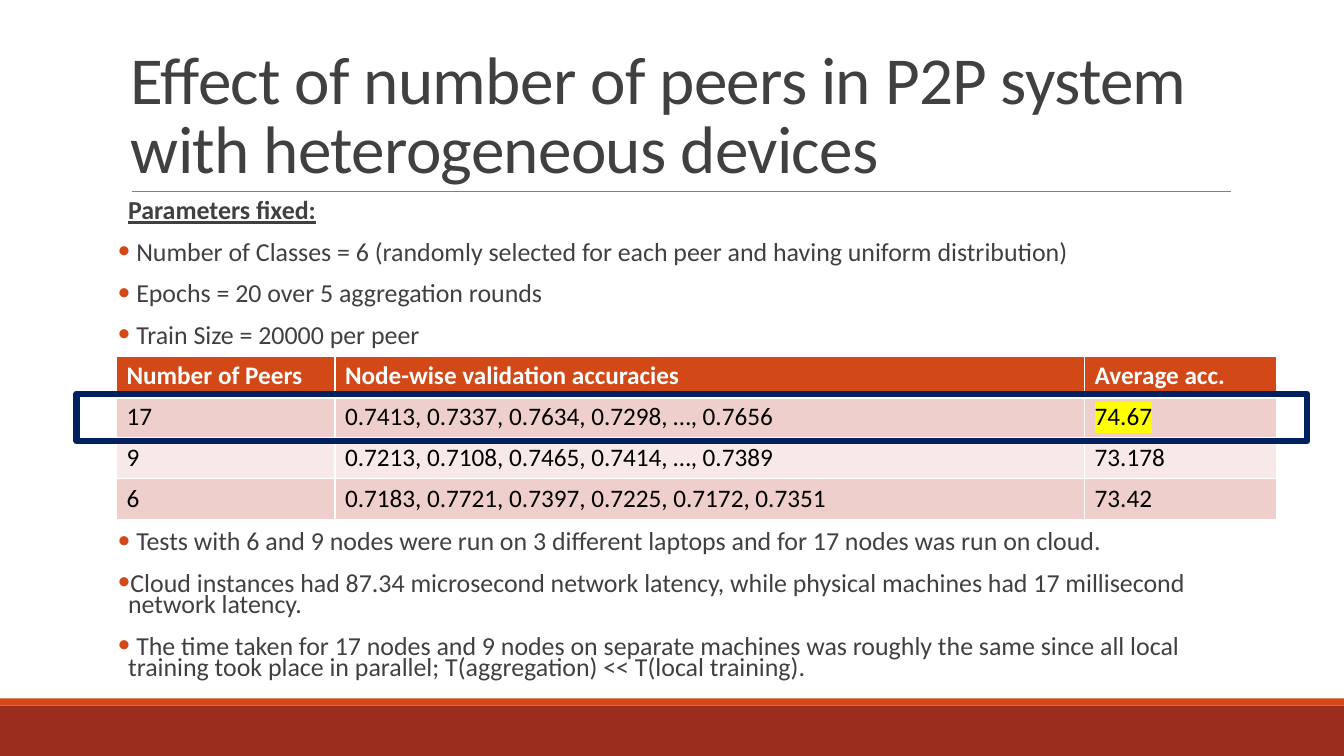
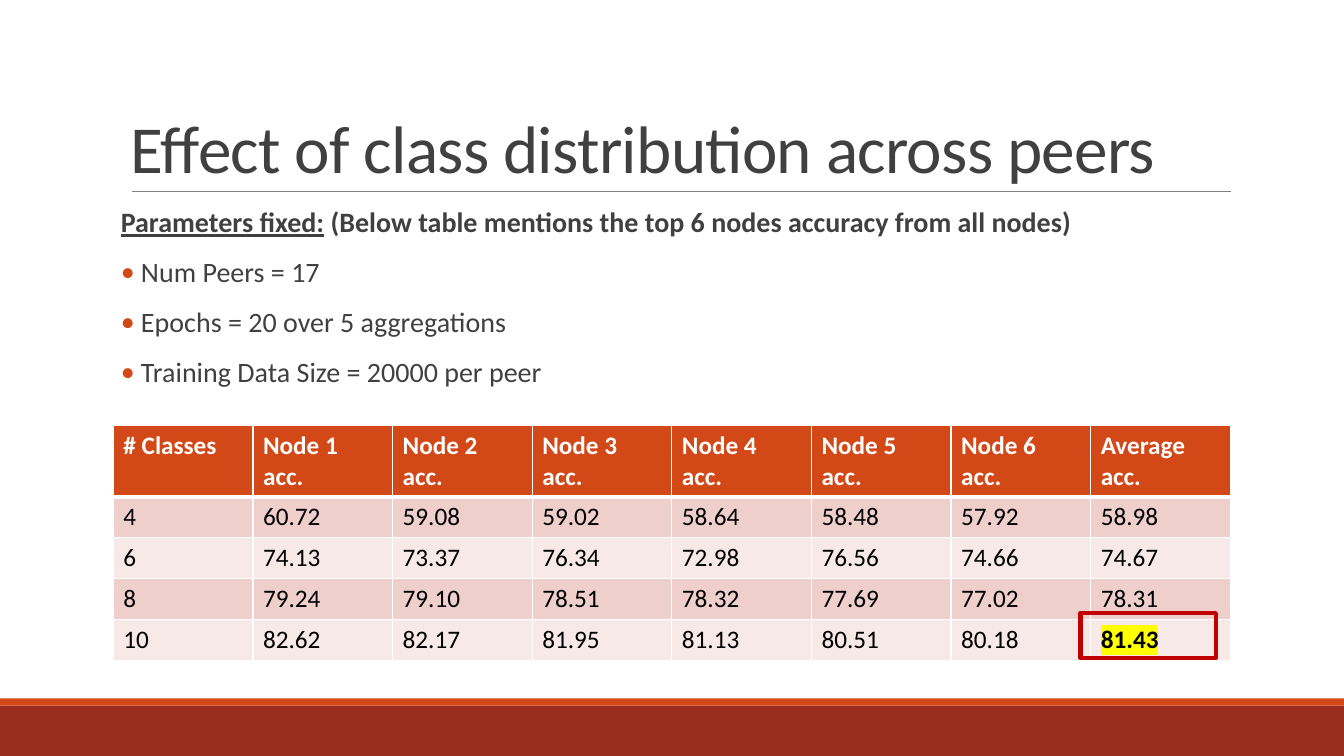
from lxml import etree
from pptx import Presentation
from pptx.dml.color import RGBColor
from pptx.enum.shapes import MSO_CONNECTOR as Connector, MSO_SHAPE as Shape
from pptx.enum.text import MSO_ANCHOR as Anchor, MSO_AUTO_SIZE as AutoSize, PP_ALIGN as Align
from pptx.oxml.ns import qn
from pptx.util import Pt

EMU_PER_PX = 9525
FONT = "Calibri"
TABLE_SIZE = 18
ROW_HEIGHT = 39
BULLET_INDENT = 10
SPACE_BEFORE = 12

WHITE = RGBColor(0xFF, 0xFF, 0xFF)
BLACK = RGBColor(0x00, 0x00, 0x00)
GREY = RGBColor(0x40, 0x40, 0x40)
RULE_GREY = RGBColor(0x80, 0x80, 0x80)
BRICK = RGBColor(0x9B, 0x2D, 0x1F)
ORANGE = RGBColor(0xD3, 0x48, 0x17)
PINK = RGBColor(0xEF, 0xCF, 0xCC)
PALE_PINK = RGBColor(0xF7, 0xE9, 0xE8)
YELLOW = RGBColor(0xFF, 0xFF, 0x00)
NAVY = RGBColor(0x00, 0x20, 0x60)
RED = RGBColor(0xC0, 0x00, 0x00)


def px(length):
    return length * EMU_PER_PX


def place(shape, left, top, width, height):
    shape.left, shape.top = px(left), px(top)
    shape.width, shape.height = px(width), px(height)


def add_color(parent, tag, color):
    """Append an element that holds one RGB colour."""
    holder = etree.SubElement(parent, qn(tag))
    etree.SubElement(holder, qn("a:srgbClr")).set("val", str(color))
    return holder


def add_span(para, text, size, color, bold=False, underline=False):
    span = para.add_run()
    span.text = text
    font = span.font
    font.size, font.name = Pt(size), FONT
    font.bold, font.underline = bold, underline
    font.color.rgb = color
    return span


def highlight(span, color):
    properties = span._r.get_or_add_rPr()
    mark = add_color(properties, "a:highlight", color)
    properties.find(qn("a:solidFill")).addnext(mark)


def add_rectangle(page, left, top, width, height, fill=None, line=None, weight=0):
    box = page.shapes.add_shape(Shape.RECTANGLE, px(left), px(top), px(width), px(height))
    box.shadow.inherit = False
    if fill is None:
        box.fill.background()
    else:
        box.fill.solid()
        box.fill.fore_color.rgb = fill
    if line is None:
        box.line.fill.background()
    else:
        box.line.color.rgb = line
        box.line.width = Pt(weight)
    return box


def add_rule(page, left, right, top):
    rule = page.shapes.add_connector(Connector.STRAIGHT, px(left), px(top), px(right), px(top))
    rule.line.color.rgb = RULE_GREY
    rule.line.width = Pt(0.5)
    etree.SubElement(rule.element.spPr, qn("a:effectLst"))
    return rule


def dress_layout(layout, page):
    """Draw the shared bands and rule on a page, then move them to its layout."""
    place(layout.placeholders[0], 115, 30, 1056, 153)
    decorations = [
        add_rectangle(page, 0, 672, 1280, 48, fill=BRICK),
        add_rectangle(page, 0, 665, 1280, 7, fill=ORANGE),
        add_rule(page, 126, 1172, 182),
    ]
    for number, decoration in enumerate(decorations, start=20):
        decoration.element.xpath(".//p:cNvPr")[0].set("id", str(number))
        layout.shapes.element.append(decoration.element)


def set_title(page, text):
    frame = page.shapes.title.text_frame
    frame.vertical_anchor = Anchor.BOTTOM
    frame.auto_size = AutoSize.NONE
    para = frame.paragraphs[0]
    para.alignment = Align.LEFT
    para.line_spacing = 0.85
    span = add_span(para, text, 48, GREY)
    span._r.get_or_add_rPr().set("spc", "-50")


def format_para(para, spacing, before, margin=0, bullet=False):
    properties = para._p.get_or_add_pPr()
    properties.set("marL", str(px(margin)))
    properties.set("indent", str(px(-margin if bullet else 0)))
    if bullet:
        add_color(properties, "a:buClr", ORANGE)
        etree.SubElement(properties, qn("a:buFont")).set("typeface", FONT)
        etree.SubElement(properties, qn("a:buChar")).set("char", "•")
    else:
        etree.SubElement(properties, qn("a:buNone"))
    para.line_spacing = spacing
    para.space_before, para.space_after = Pt(before), Pt(2)


def start_body(page, position, size, spacing, note="", margin=0):
    """Place the body and write its underlined heading."""
    body = page.placeholders[1]
    place(body, *position)
    frame = body.text_frame
    frame.auto_size = AutoSize.NONE
    frame.margin_left = frame.margin_right = 0
    para = frame.paragraphs[0]
    format_para(para, spacing, 0, margin)
    add_span(para, "Parameters fixed:", size, GREY, bold=True, underline=True)
    if note:
        add_span(para, note, size, GREY, bold=True)
    return frame


def add_bullets(frame, texts, size, spacing, first_gap=SPACE_BEFORE):
    for index, text in enumerate(texts):
        para = frame.add_paragraph()
        before = SPACE_BEFORE if index else first_gap
        format_para(para, spacing, before, BULLET_INDENT, bullet=True)
        add_span(para, text, size, GREY)


def set_borders(cell, top, bottom):
    properties = cell._tc.get_or_add_tcPr()
    for side, weight in (("L", 1), ("R", 1), ("T", top), ("B", bottom)):
        border = etree.SubElement(properties, qn(f"a:ln{side}"))
        border.set("w", str(Pt(weight)))
        add_color(border, "a:solidFill", WHITE)


def add_table(page, left, top, widths, rows, header_height=ROW_HEIGHT):
    heights = [header_height] + [ROW_HEIGHT] * (len(rows) - 1)
    table = page.shapes.add_table(len(rows), len(widths), px(left), px(top),
                                  px(sum(widths)), px(sum(heights))).table
    for column, width in zip(table.columns, widths):
        column.width = px(width)
    for index, (row, height, texts) in enumerate(zip(table.rows, heights, rows)):
        row.height = px(height)
        header = index == 0
        fill = ORANGE if header else (PINK if index % 2 else PALE_PINK)
        for cell, text in zip(row.cells, texts):
            set_borders(cell, top=3 if index == 1 else 1, bottom=3 if header else 1)
            cell.fill.solid()
            cell.fill.fore_color.rgb = fill
            add_span(cell.text_frame.paragraphs[0], text, TABLE_SIZE,
                     WHITE if header else BLACK, bold=header)
    return table


def mark_cell(table, row, column, bold=False):
    span = table.cell(row, column).text_frame.paragraphs[0].runs[0]
    span.font.bold = bold
    highlight(span, YELLOW)


def fill_peers_page(page):
    set_title(page, "Effect of number of peers in P2P system with heterogeneous devices")
    size, spacing = 18.5, 0.7
    frame = start_body(page, (112, 188, 1056, 477), size, spacing, margin=BULLET_INDENT)
    add_bullets(frame, [
        " Number of Classes = 6 (randomly selected for each peer and having uniform distribution)",
        " Epochs = 20 over 5 aggregation rounds",
        " Train Size = 20000 per peer",
    ], size, spacing)
    add_bullets(frame, [
        " Tests with 6 and 9 nodes were run on 3 different laptops and for 17 nodes was run on cloud.",
        "Cloud instances had 87.34 microsecond network latency, while physical machines "
        "had 17 millisecond network latency.",
        " The time taken for 17 nodes and 9 nodes on separate machines was roughly the same "
        "since all local training took place in parallel; T(aggregation) << T(local training).",
    ], size, spacing, first_gap=130)
    table = add_table(page, 111, 339, [208, 714, 183], [
        ("Number of Peers", "Node-wise validation accuracies", "Average acc."),
        ("17", "0.7413, 0.7337, 0.7634, 0.7298, …, 0.7656", "74.67"),
        ("9", "0.7213, 0.7108, 0.7465, 0.7414, …, 0.7389", "73.178"),
        ("6", "0.7183, 0.7721, 0.7397, 0.7225, 0.7172, 0.7351", "73.42"),
    ])
    mark_cell(table, 1, 2)
    add_rectangle(page, 73, 375, 1172, 45, line=NAVY, weight=4.5)


def fill_classes_page(page):
    set_title(page, "Effect of class distribution across peers")
    size, spacing = 20, 0.9
    frame = start_body(page, (115, 194, 1056, 422), size, spacing,
                       note=" (Below table mentions the top 6 nodes accuracy from all nodes)")
    add_bullets(frame, [
        " Num Peers = 17",
        " Epochs = 20 over 5 aggregations",
        " Training Data Size = 20000 per peer",
    ], size, spacing)
    nodes = [f"Node {number} acc." for number in range(1, 7)]
    table = add_table(page, 108, 405, [133] * 8, [
        ("# Classes", *nodes, "Average acc."),
        ("4", "60.72", "59.08", "59.02", "58.64", "58.48", "57.92", "58.98"),
        ("6", "74.13", "73.37", "76.34", "72.98", "76.56", "74.66", "74.67"),
        ("8", "79.24", "79.10", "78.51", "78.32", "77.69", "77.02", "78.31"),
        ("10", "82.62", "82.17", "81.95", "81.13", "80.51", "80.18", "81.43"),
    ], header_height=68)
    mark_cell(table, 4, 7, bold=True)
    add_rectangle(page, 1029, 584, 129, 43, line=RED, weight=3)


def main():
    deck = Presentation()
    deck.slide_width, deck.slide_height = px(1280), px(720)
    layout = deck.slide_layouts[1]
    peers_page, classes_page = (deck.slides.add_slide(layout) for _ in range(2))
    dress_layout(layout, peers_page)
    fill_peers_page(peers_page)
    fill_classes_page(classes_page)
    deck.save("out.pptx")


if __name__ == "__main__":
    main()
